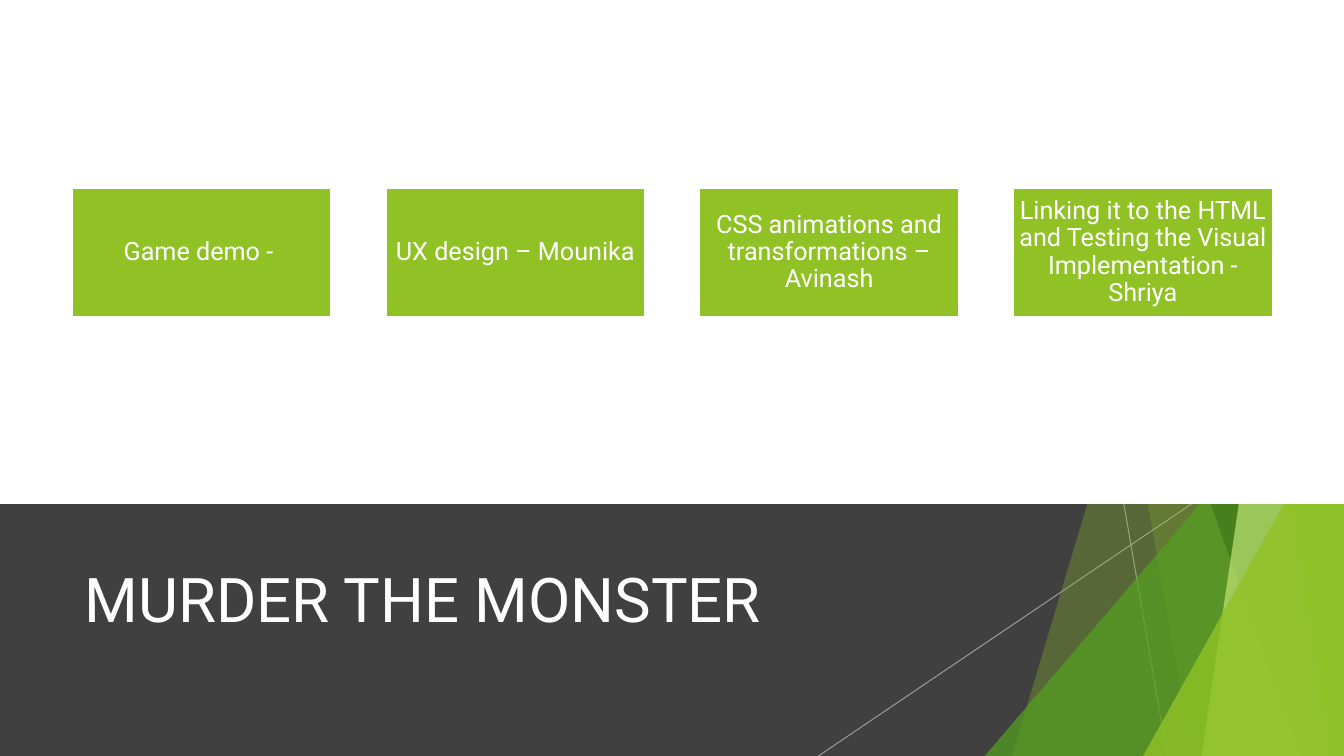
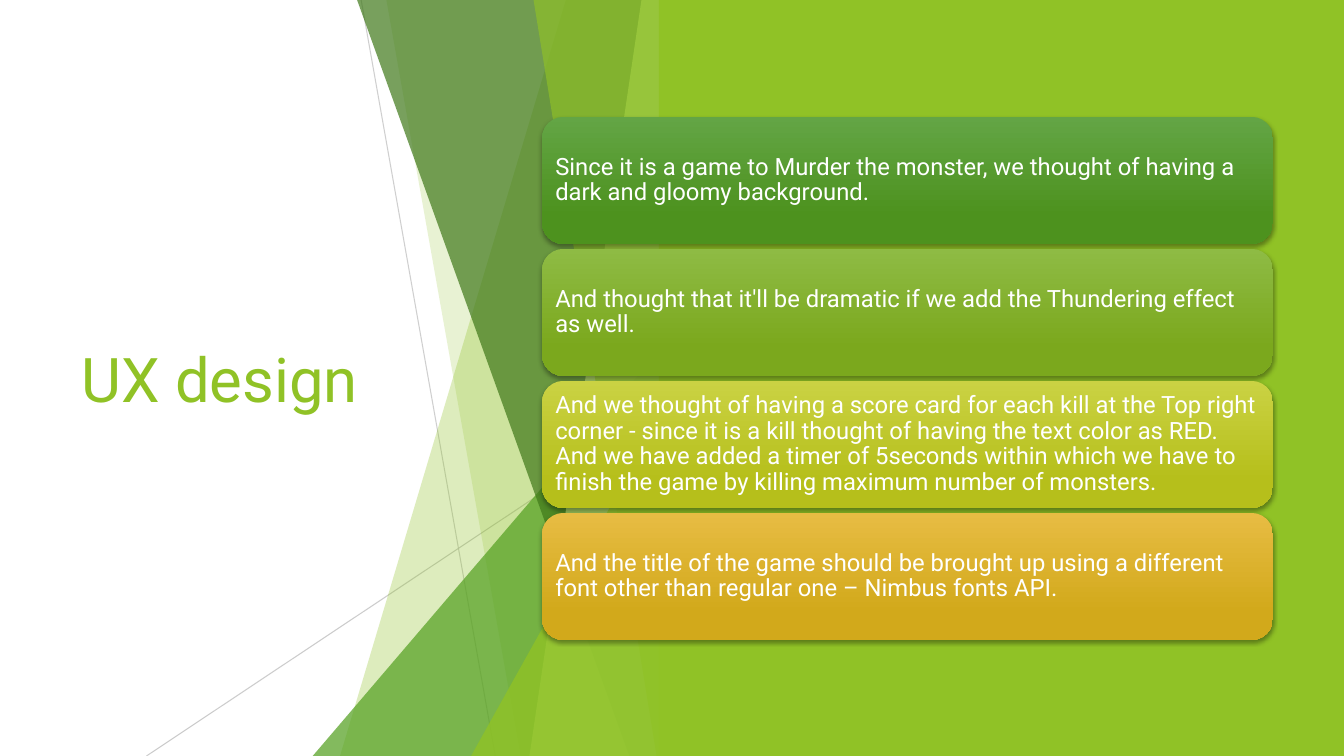
from lxml.etree import SubElement
from pptx import Presentation
from pptx.dml.color import RGBColor
from pptx.enum.shapes import MSO_CONNECTOR as Connector, MSO_SHAPE as Preset
from pptx.enum.text import MSO_ANCHOR as Anchor, PP_ALIGN as Align
from pptx.oxml.ns import qn
from pptx.util import Pt

FONT = "Roboto"
WIDTH, HEIGHT = 960, 540
WHITE = RGBColor(0xFF, 0xFF, 0xFF)
CHARCOAL = RGBColor(0x40, 0x40, 0x40)
SILVER = RGBColor(0xBF, 0xBF, 0xBF)
LIME = RGBColor(0x90, 0xC2, 0x26)
LEAF = RGBColor(0x54, 0xA0, 0x21)
FOREST = RGBColor(0x3F, 0x78, 0x19)
PALE = RGBColor(0xC0, 0xE4, 0x74)
CARD_GRADIENTS = [
    (RGBColor(0x63, 0xA5, 0x45), RGBColor(0x4D, 0x92, 0x1E)),
    (RGBColor(0x8E, 0xBB, 0x44), RGBColor(0x7B, 0xA8, 0x1D)),
    (RGBColor(0xCA, 0xD2, 0x43), RGBColor(0xB6, 0xBF, 0x1B)),
    (RGBColor(0xE7, 0xBC, 0x43), RGBColor(0xD2, 0xA9, 0x1B)),
]

FACET_WIDTH = 375.4
BACK_SHARDS = [(299.6, 138.3, LIME, 30), (171.4, 267.2, LIME, 20)]
FRONT_SHARDS = [
    (150.5, 344.9, FOREST, 70),
    (353.6, 273.6, PALE, 70),
    (276.5, 364.4, LIME, 65),
]

TASKS = [
    "Game demo - ",
    "UX design – Mounika",
    "CSS animations and transformations – Avinash",
    "Linking it to the HTML and Testing the Visual Implementation - Shriya",
]
DESIGN_NOTES = [
    "Since it is a game to Murder the monster, we thought of having a dark and "
    "gloomy background.",
    "And thought that it'll be dramatic if we add the Thundering effect as well.",
    "And we thought of having a score card for each kill at the Top right corner "
    "- since it is a kill thought of having the text color as RED. And we have "
    "added a timer of 5seconds within which we have to finish the game by killing "
    "maximum number of monsters.",
    "And the title of the game should be brought up using a different font other "
    "than regular one – Nimbus fonts API.",
]


def set_opacity(shape, percent):
    for color in shape._element.spPr.iter(qn("a:srgbClr")):
        SubElement(color, qn("a:alpha"), val=str(percent * 1000))


def paint(shape, color, opacity=100):
    shape.shadow.inherit = False
    shape.fill.solid()
    shape.fill.fore_color.rgb = color
    shape.line.fill.background()
    if opacity < 100:
        set_opacity(shape, opacity)


def add_preset(slide, preset, left, top, width, height):
    return slide.shapes.add_shape(preset, Pt(left), Pt(top), Pt(width), Pt(height))


def add_panel(slide, left, top, width, height, color):
    paint(add_preset(slide, Preset.RECTANGLE, left, top, width, height), color)


def write(shape, text, size, color, align=Align.LEFT, inset=None, spacing=None):
    frame = shape.text_frame
    frame.word_wrap = True
    frame.vertical_anchor = Anchor.MIDDLE
    if inset is not None:
        frame.margin_left = frame.margin_right = Pt(inset)
        frame.margin_top = frame.margin_bottom = Pt(inset)
    paragraph = frame.paragraphs[0]
    paragraph.alignment = align
    if spacing:
        paragraph.line_spacing = spacing
    run = paragraph.add_run()
    run.text = text
    run.font.name = FONT
    run.font.size = Pt(size)
    run.font.color.rgb = color


def add_title(slide, text, left, top, width, height, color):
    box = slide.shapes.add_textbox(Pt(left), Pt(top), Pt(width), Pt(height))
    write(box, text, 44, color)


def add_ray(slide, start, end, opacity):
    ray = slide.shapes.add_connector(
        Connector.STRAIGHT, *(Pt(value) for value in start + end))
    ray.line.width = Pt(0.75)
    ray.line.color.rgb = SILVER
    set_opacity(ray, opacity)
    SubElement(ray._element.spPr, qn("a:effectLst"))


def add_facets(slide, left, ray_starts, ray_opacities):
    right = left + FACET_WIDTH

    def add_shards(shards):
        for top_x, bottom_x, color, opacity in shards:
            builder = slide.shapes.build_freeform(Pt(left + top_x), 0)
            builder.add_line_segments([
                (Pt(right), 0),
                (Pt(right), Pt(HEIGHT)),
                (Pt(left + bottom_x), Pt(HEIGHT)),
            ])
            paint(builder.convert_to_shape(), color, opacity)

    def add_wedge(x, top, color, opacity):
        wedge = add_preset(slide, Preset.ISOSCELES_TRIANGLE, left + x, top,
                           FACET_WIDTH - x, HEIGHT - top)
        wedge.adjustments[0] = 1
        paint(wedge, color, opacity)

    for (x, y), end_x, opacity in zip(ray_starts, (249.2, 0), ray_opacities):
        add_ray(slide, (left + x, y), (left + end_x, HEIGHT), opacity)
    add_shards(BACK_SHARDS)
    add_wedge(118.8, 239.8, LEAF, 72)
    add_shards(FRONT_SHARDS)
    add_wedge(231.9, 283, LIME, 80)


def add_task_row(slide, left, top, width, height):
    box_width = 185.3
    pitch = (width - box_width) / (len(TASKS) - 1)
    for index, task in enumerate(TASKS):
        box = add_preset(slide, Preset.RECTANGLE, left + index * pitch, top,
                         box_width, height)
        paint(box, LIME)
        box.line.color.rgb = WHITE
        box.line.width = Pt(1.5)
        write(box, task, 18, WHITE, Align.CENTER, 1, 0.9)


def add_card_shadow(card):
    card.shadow.inherit = False
    effects = card._element.spPr.find(qn("a:effectLst"))
    shadow = SubElement(effects, qn("a:outerShdw"), blurRad=str(Pt(3)),
                        dist=str(Pt(2)), dir="5400000", rotWithShape="0")
    color = SubElement(shadow, qn("a:srgbClr"), val="000000")
    SubElement(color, qn("a:alpha"), val="35000")


def add_note_cards(slide, left, top, width, height):
    card_height = 90.7
    pitch = (height - card_height) / (len(DESIGN_NOTES) - 1)
    for index, (note, colors) in enumerate(zip(DESIGN_NOTES, CARD_GRADIENTS)):
        card = add_preset(slide, Preset.ROUNDED_RECTANGLE, left,
                          top + index * pitch, width, card_height)
        card.fill.gradient()
        card.fill.gradient_angle = 270
        for stop, color, position in zip(card.fill.gradient_stops, colors, (0, 0.78)):
            stop.color.rgb = color
            stop.position = position
        card.line.fill.background()
        add_card_shadow(card)
        write(card, note, 17, WHITE, inset=5, spacing=0.9)


def build_team_slide(slide):
    add_panel(slide, 0, 360, WIDTH, 180, CHARCOAL)
    add_facets(slide, 584.6, [(218.2, 360), (266.4, 360)], (70, 70))
    add_title(slide, "MURDER THE MONSTER", 53.3, 375.1, 676.8, 103.7, WHITE)
    add_panel(slide, 0, 0, WIDTH, 360, WHITE)
    add_task_row(slide, 51.4, 134, 857.6, 92.6)


def build_design_slide(slide):
    add_title(slide, "UX design", 51.1, 108.7, 279.4, 322.6, LIME)
    add_facets(slide, 104.6, [(153.4, 0), (FACET_WIDTH, 290.2)], (75, 80))
    add_panel(slide, 470.6, 0, WIDTH - 470.6, HEIGHT, LIME)
    add_note_cards(slide, 387.2, 83.5, 522, 373.6)


def main():
    presentation = Presentation()
    presentation.slide_width = Pt(WIDTH)
    presentation.slide_height = Pt(HEIGHT)
    for build in (build_team_slide, build_design_slide):
        build(presentation.slides.add_slide(presentation.slide_layouts[6]))
    presentation.save("out.pptx")


if __name__ == "__main__":
    main()
